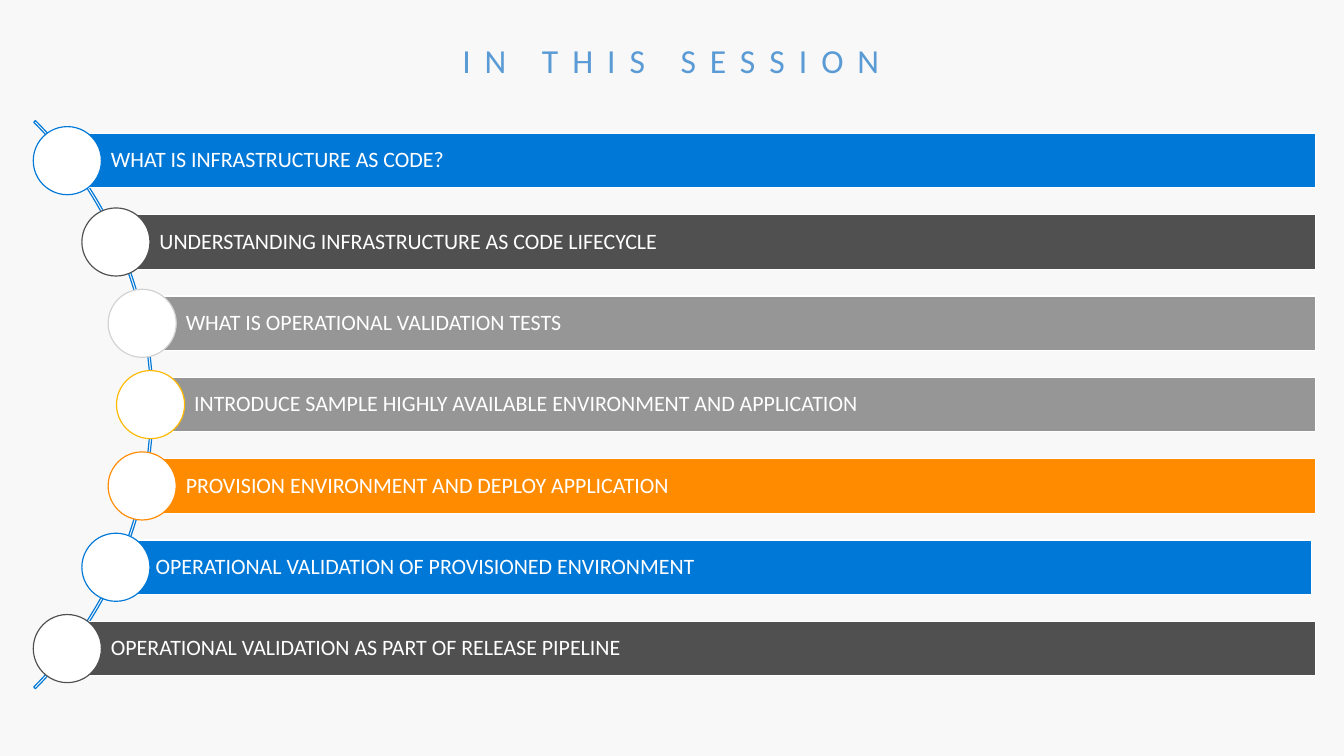
from dataclasses import dataclass
from math import sqrt

from pptx import Presentation
from pptx.dml.color import RGBColor
from pptx.enum.shapes import MSO_SHAPE
from pptx.enum.text import MSO_ANCHOR, PP_ALIGN
from pptx.util import Cm, Pt

ARC, BAR, CIRCLE = MSO_SHAPE.BLOCK_ARC, MSO_SHAPE.RECTANGLE, MSO_SHAPE.OVAL
LEFT, CENTER = PP_ALIGN.LEFT, PP_ALIGN.CENTER
MIDDLE = MSO_ANCHOR.MIDDLE


@dataclass(frozen=True)
class Theme:
    font: str = "Calibri"
    title_size: float = 24.5
    title_spacing: int = 1020
    item_size: float = 16
    line_width: float = 0.85
    background: str = "F8F8F8"
    title: str = "5B9BD5"
    white: str = "FFFFFF"
    blue: str = "0078D7"
    dark: str = "505050"
    gray: str = "969696"
    silver: str = "D2D2D2"
    yellow: str = "FFB900"
    orange: str = "FF8C00"


class AgendaSlide:
    def __init__(self, slide, theme):
        self.slide = slide
        self.theme = theme
        fill = slide.background.fill
        fill.solid()
        fill.fore_color.rgb = RGBColor.from_string(theme.background)

    def set_text(self, text_frame, text, size, color, alignment):
        text_frame.word_wrap = True
        text_frame.text = text
        paragraph = text_frame.paragraphs[0]
        paragraph.alignment = alignment
        run = paragraph.runs[0]
        run.font.name = self.theme.font
        run.font.size = Pt(size)
        run.font.color.rgb = RGBColor.from_string(color)
        return run

    def title(self, text, left, top, width, height):
        box = self.slide.shapes.add_textbox(Cm(left), Cm(top), Cm(width), Cm(height))
        run = self.set_text(box.text_frame, text, self.theme.title_size, self.theme.title, CENTER)
        run._r.get_or_add_rPr().set("spc", str(self.theme.title_spacing))

    def shape(self, kind, left, top, width, height, fill, line):
        shape = self.slide.shapes.add_shape(kind, Cm(left), Cm(top), Cm(width), Cm(height))
        shape.shadow.inherit = False
        if fill:
            shape.fill.solid()
            shape.fill.fore_color.rgb = RGBColor.from_string(fill)
        else:
            shape.fill.background()
        shape.line.color.rgb = RGBColor.from_string(line)
        shape.line.width = Pt(self.theme.line_width)
        return shape

    def arc(self, center_x, center_y, diameter):
        shape = self.shape(ARC, center_x - diameter / 2, center_y - diameter / 2,
                           diameter, diameter, None, self.theme.blue)
        for index, value in enumerate((189, 27, 0.003)):
            shape.adjustments[index] = value

    def bar(self, text, left, center_y, width, height, color):
        shape = self.shape(BAR, left, center_y - height / 2, width, height,
                           color, self.theme.white)
        text_frame = shape.text_frame
        text_frame.vertical_anchor = MIDDLE
        text_frame.margin_left = Cm(1.12)
        text_frame.margin_right = text_frame.margin_top = text_frame.margin_bottom = Cm(0.1)
        self.set_text(text_frame, text, self.theme.item_size, self.theme.white, LEFT)
        text_frame.paragraphs[0].line_spacing = 0.9

    def circle(self, center_x, center_y, diameter, color):
        self.shape(CIRCLE, center_x - diameter / 2, center_y - diameter / 2,
                   diameter, diameter, self.theme.white, color)


theme = Theme()
presentation = Presentation()
presentation.slide_width, presentation.slide_height = Cm(34.54), Cm(19.43)
agenda = AgendaSlide(presentation.slides.add_slide(presentation.slide_layouts[6]), theme)

ARC_X, ARC_Y, ARC_DIAMETER = -6.39, 10.4, 20.65
CIRCLE_PATH_RADIUS = 10.26
ROW_PITCH, BAR_HEIGHT, BAR_RIGHT = 2.09, 1.4, 33.81
CIRCLE_DIAMETER = 1.75

ITEMS = [
    ("WHAT IS INFRASTRUCTURE AS CODE?", theme.blue, theme.blue, 0),
    ("UNDERSTANDING INFRASTRUCTURE AS CODE LIFECYCLE", theme.dark, theme.dark, 0),
    ("WHAT IS OPERATIONAL VALIDATION TESTS", theme.gray, theme.silver, 0),
    ("INTRODUCE SAMPLE HIGHLY AVAILABLE ENVIRONMENT AND APPLICATION",
     theme.gray, theme.yellow, 0),
    ("PROVISION ENVIRONMENT AND DEPLOY APPLICATION", theme.orange, theme.orange, 0),
    ("OPERATIONAL VALIDATION OF PROVISIONED ENVIRONMENT", theme.blue, theme.blue, -0.1),
    ("OPERATIONAL VALIDATION AS PART OF RELEASE PIPELINE", theme.dark, theme.dark, 0),
]

agenda.title("IN THIS SESSION", 0.76, 0.89, 32.97, 1.32)
agenda.arc(ARC_X, ARC_Y, ARC_DIAMETER)
for row, (text, bar_color, circle_color, bar_shift) in enumerate(ITEMS):
    offset_y = (row - len(ITEMS) // 2) * ROW_PITCH
    center_x = ARC_X + sqrt(CIRCLE_PATH_RADIUS ** 2 - offset_y ** 2)
    center_y = ARC_Y + offset_y
    agenda.bar(text, center_x + bar_shift, center_y, BAR_RIGHT - center_x, BAR_HEIGHT, bar_color)
    agenda.circle(center_x, center_y, CIRCLE_DIAMETER, circle_color)

presentation.save("out.pptx")
